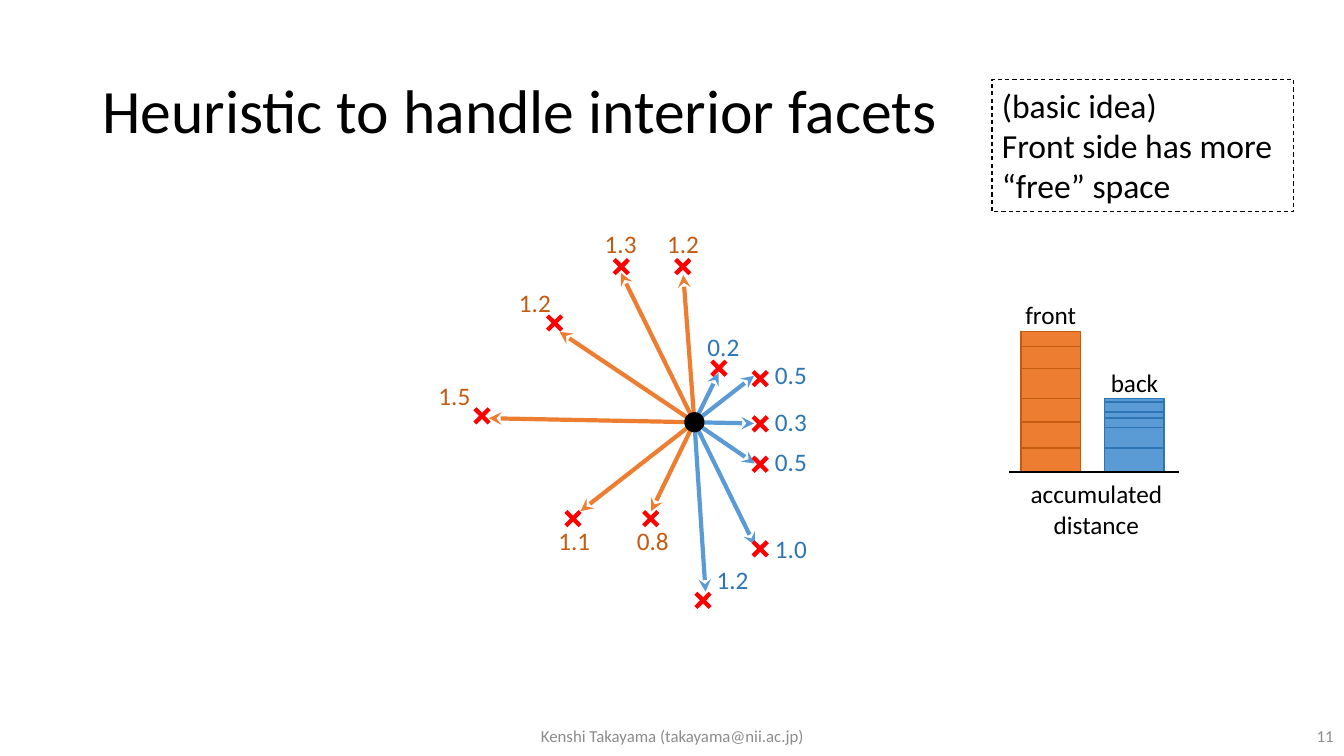
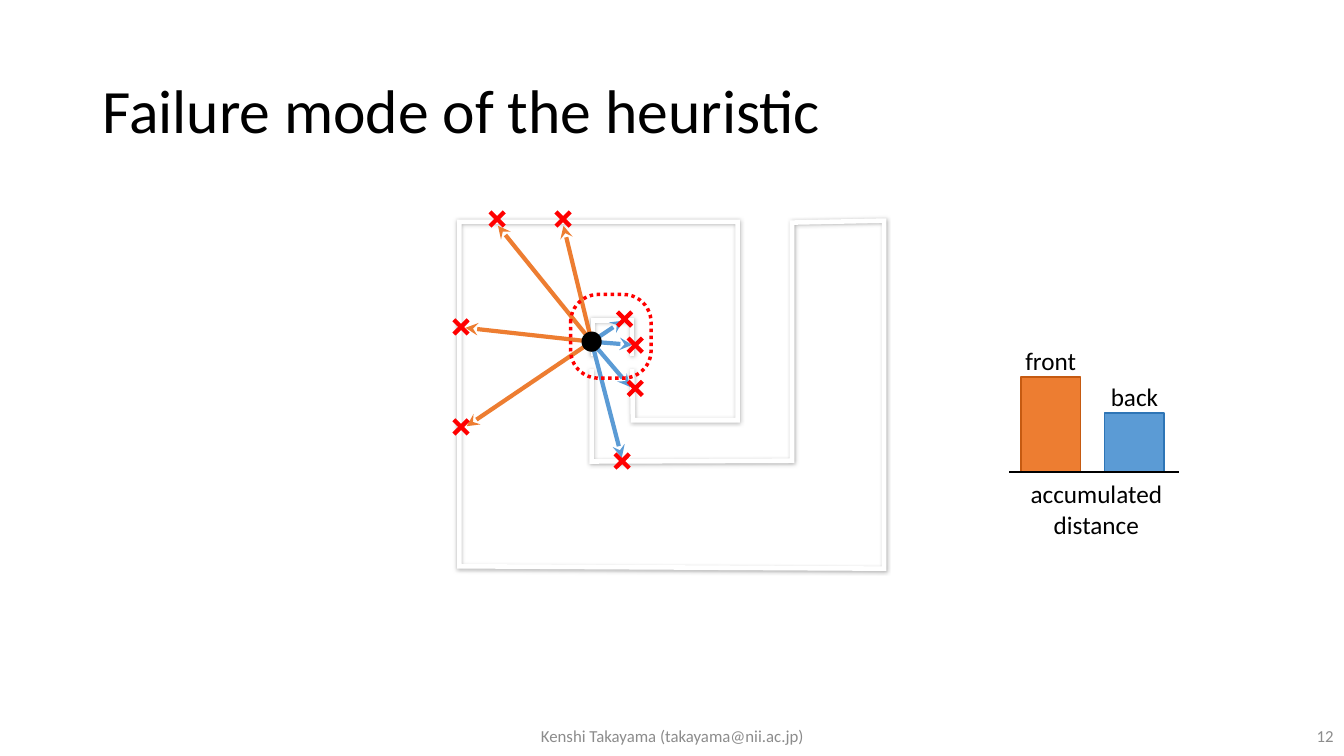
from pptx import Presentation
from pptx.dml.color import RGBColor
from pptx.enum.dml import MSO_LINE
from pptx.enum.shapes import MSO_CONNECTOR, MSO_SHAPE
from pptx.enum.text import MSO_ANCHOR, PP_ALIGN
from pptx.oxml import parse_xml
from pptx.oxml.ns import nsdecls
from pptx.util import Cm, Pt

STRAIGHT = MSO_CONNECTOR.STRAIGHT
RECTANGLE, ROUNDED = MSO_SHAPE.RECTANGLE, MSO_SHAPE.ROUNDED_RECTANGLE
OVAL, CROSS = MSO_SHAPE.OVAL, MSO_SHAPE.MATH_MULTIPLY
DASH, DOTS = MSO_LINE.DASH, MSO_LINE.ROUND_DOT
TOP, MIDDLE = MSO_ANCHOR.TOP, MSO_ANCHOR.MIDDLE
LEFT, CENTER, RIGHT = PP_ALIGN.LEFT, PP_ALIGN.CENTER, PP_ALIGN.RIGHT

BLACK, WHITE, GREY, RED = "000000", "FFFFFF", "8C8C8C", "FF0000"
FRONT = {"fill": "ED7D31", "edge": "C55A11"}
BACK = {"fill": "5B9BD5", "edge": "2E75B6"}


def color(value):
    return RGBColor.from_string(value)


def element(markup):
    tag, _, rest = markup.partition(" ")
    return parse_xml(f"<a:{tag} {nsdecls('a')} {rest}")


class Deck:
    font = "Calibri"
    footer = "Kenshi Takayama (takayama@nii.ac.jp)"
    base_y = 11.89
    bar_width = 1.5
    label_height = 1.02

    def __init__(self):
        self.deck = Presentation()
        self.deck.slide_width, self.deck.slide_height = Cm(33.87), Cm(19.05)
        self.page = None

    def add_page(self, title, number):
        self.page = self.deck.slides.add_slide(self.deck.slide_layouts[6])
        heading = self.text(title, (2.33, 1.02, 29.21, 3.68), 44, anchor=MIDDLE)
        heading.text_frame.paragraphs[0].line_spacing = 0.9
        self.text(self.footer, (11.23, 18.03, 11.43, 1.02), 12, GREY, CENTER, MIDDLE)
        self.text(str(number), (26.24, 18.03, 7.62, 1.02), 12, GREY, RIGHT, MIDDLE)

    def text(self, words, frame, size, ink=BLACK, align=LEFT, anchor=TOP, wrap=True):
        box = self.page.shapes.add_textbox(*map(Cm, frame))
        layout = {"word_wrap": wrap, "vertical_anchor": anchor}
        for name, value in layout.items():
            setattr(box.text_frame, name, value)
        box.text_frame.text = words
        style = {"size": Pt(size), "name": self.font}
        for para in box.text_frame.paragraphs:
            para.alignment = align
            for span in para.runs:
                for name, value in style.items():
                    setattr(span.font, name, value)
                span.font.color.rgb = color(ink)
        return box

    def outline(self, shape, ink, width, dash=None):
        shape.line.color.rgb = color(ink)
        shape.line.width = Pt(width)
        if dash:
            shape.line.dash_style = dash

    def shape(self, kind, frame, fill=None, opacity=None):
        shape = self.page.shapes.add_shape(kind, *map(Cm, frame))
        shape.shadow.inherit = False
        shape.line.fill.background()
        if fill:
            shape.fill.solid()
            shape.fill.fore_color.rgb = color(fill)
        else:
            shape.fill.background()
        if opacity:
            tint = shape.fill._xPr.find(".//{*}srgbClr")
            tint.append(element(f'alpha val="{opacity * 1000}"/>'))
        return shape

    def centered(self, kind, center, size, fill):
        x, y = center
        return self.shape(kind, (x - size / 2, y - size / 2, size, size), fill)

    def line(self, start, end, ink, width, arrow=False):
        line = self.page.shapes.add_connector(STRAIGHT, *map(Cm, start + end))
        self.outline(line, ink, width)
        if arrow:
            line.line._get_or_add_ln().append(element('tailEnd type="stealth"/>'))
        line._element.spPr.append(element("effectLst />"))

    def wall(self, points):
        corners = [(Cm(x), Cm(y)) for x, y in points]
        builder = self.page.shapes.build_freeform(*corners[0], scale=1.0)
        builder.add_line_segments(corners[1:], close=False)
        wall = builder.convert_to_shape()
        wall.fill.background()
        self.outline(wall, WHITE, 3.25)
        wall.line._get_or_add_ln().append(element('miter lim="800000"/>'))
        wall._element.spPr.append(element(
            'effectLst ><a:outerShdw blurRad="38100" dist="0" algn="ctr">'
            '<a:srgbClr val="000000"/></a:outerShdw></a:effectLst>'))

    def rays(self, hub, groups):
        for side, hits in groups:
            for tip, *_ in hits:
                self.line(hub, tip, side["fill"], 3, arrow=True)
        self.centered(OVAL, hub, 0.51, BLACK)
        for side, hits in groups:
            for _, center, *label in hits:
                self.centered(CROSS, center, 0.69, RED).adjustments[0] = 0.156
                if label:
                    words, place = label
                    self.text(words, place + (1.32, self.label_height), 18,
                              side["edge"], wrap=False)

    def bar(self, name, left, side, parts):
        top = self.base_y
        for part in parts:
            top -= part
            block = self.shape(RECTANGLE, (left, top, self.bar_width, part), side["fill"])
            self.outline(block, side["edge"], 1)
        width = 1.8
        frame = (left + (self.bar_width - width) / 2, top - 0.93, width, self.label_height)
        self.text(name, frame, 18, align=CENTER, wrap=False)

    def distances(self, front, back):
        self.bar("front", 25.73, FRONT, front)
        self.bar("back", 27.84, BACK, back)
        self.line((25.43, self.base_y), (29.72, self.base_y), BLACK, 1.5)
        self.text("accumulated\ndistance", (25.7, 11.94, 3.86, 1.8), 18,
                  align=CENTER, wrap=False)


def heuristic_page(deck):
    deck.add_page("Heuristic to handle interior facets", 11)
    front = [
        ((17.22, 6.93), (17.21, 6.72), "1.2", (16.56, 5.64)),
        ((15.65, 6.88), (15.66, 6.72), "1.3", (14.99, 5.64)),
        ((14.1, 8.36), (13.98, 8.14), "1.2", (12.83, 7.11)),
        ((12.32, 10.54), (12.15, 10.48), "1.5", (10.8, 9.45)),
        ((14.63, 12.88), (14.44, 13.07), "1.1", (13.82, 13.11)),
        ((16.41, 12.88), (16.4, 13.07), "0.8", (15.8, 13.11)),
    ]
    back = [
        ((17.78, 14.91), (17.72, 15.13), "1.2", (17.81, 14.1)),
        ((19.02, 13.74), (19.16, 13.83), "1.0", (19.28, 13.31)),
        ((19.02, 11.68), (19.16, 11.7), "0.5", (19.28, 11.13)),
        ((19, 10.67), (19.16, 10.68), "0.3", (19.28, 10.11)),
        ((19, 9.47), (19.16, 9.54), "0.5", (19.28, 8.94)),
        ((18.11, 9.4), (18.12, 9.28), "0.2", (17.58, 8.23)),
    ]
    deck.rays((17.5, 10.64), [(FRONT, front), (BACK, back)])
    deck.distances([0.6, 0.66, 0.59, 0.75, 0.56, 0.38],
                   [0.6, 0.51, 0.25, 0.15, 0.25, 0.08])
    idea = deck.text("(basic idea)\vFront side has more “free” space",
                     (25, 2.01, 7.6, 3.33), 24)
    deck.outline(idea, BLACK, 0.75, DASH)


def failure_page(deck):
    deck.add_page("Failure mode of the heuristic", 12)
    deck.wall([(14.94, 8.97), (14.94, 8.08), (15.93, 8.08), (15.93, 8.97)])
    deck.wall([
        (15.93, 9.3), (15.95, 10.59), (18.59, 10.59), (18.59, 5.59),
        (11.58, 5.59), (11.58, 14.27), (22.28, 14.33), (22.28, 5.56),
        (19.96, 5.61), (19.96, 11.61), (14.91, 11.63), (14.91, 9.3),
    ])
    deck.shape(RECTANGLE, (11.23, 5.13, 11.43, 9.6), WHITE, opacity=70)
    back = [
        ((15.7, 8.08), (15.74, 8.04)),
        ((15.93, 8.69), (16.01, 8.7)),
        ((15.88, 9.75), (16.01, 9.79)),
        ((15.67, 11.53), (15.68, 11.62)),
    ]
    front = [
        ((11.76, 10.74), (11.62, 10.76)),
        ((11.73, 8.26), (11.62, 8.24)),
        ((14.2, 5.69), (14.19, 5.52)),
        ((12.55, 5.69), (12.53, 5.52)),
    ]
    deck.rays((14.91, 8.61), [(BACK, back), (FRONT, front)])
    deck.distances([2.39], [1.48])
    trouble = deck.shape(ROUNDED, (14.38, 7.42, 2.03, 2.11))
    trouble.adjustments[0] = 0.346
    deck.outline(trouble, RED, 2.5, DOTS)


def main():
    deck = Deck()
    heuristic_page(deck)
    failure_page(deck)
    deck.deck.save("out.pptx")


if __name__ == "__main__":
    main()
